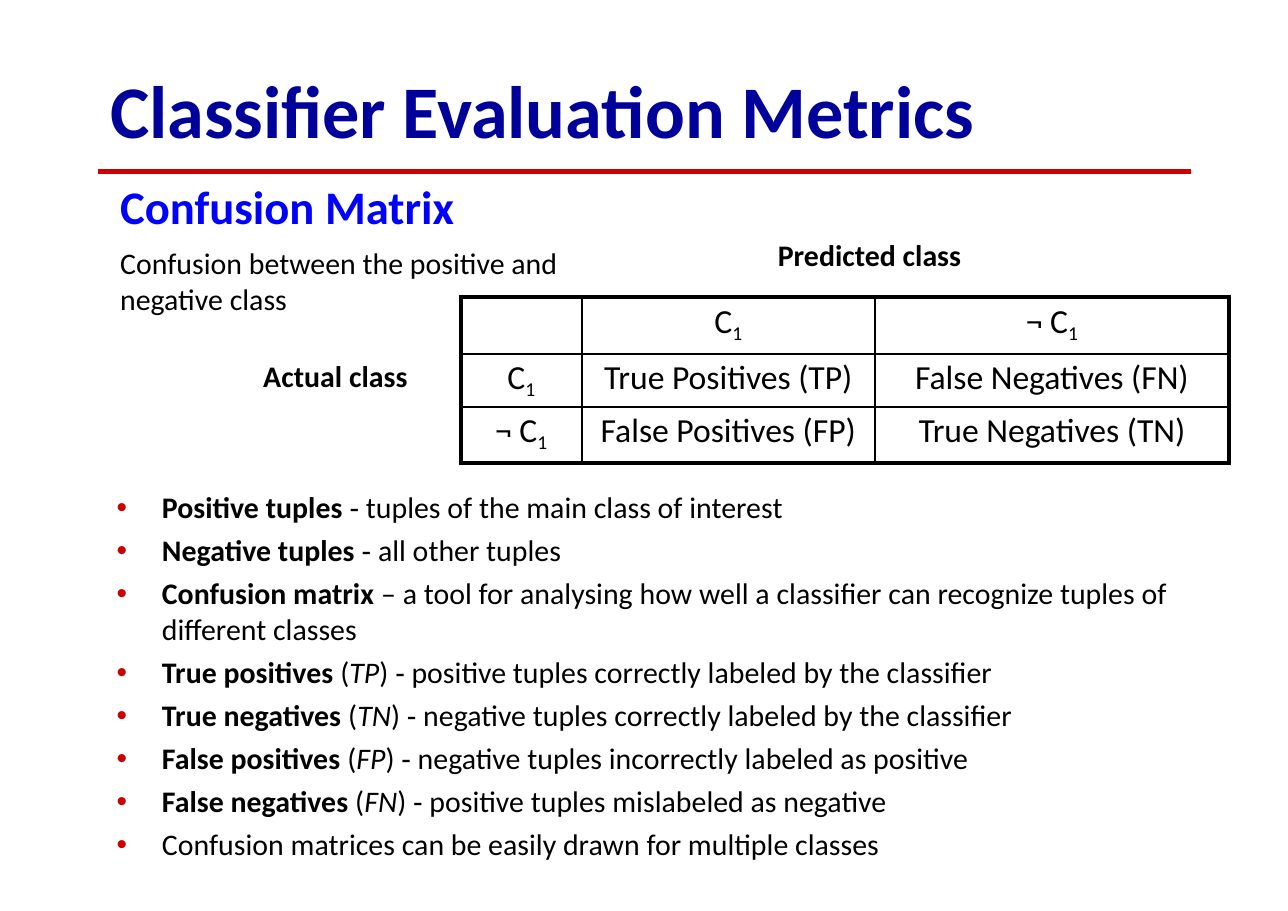
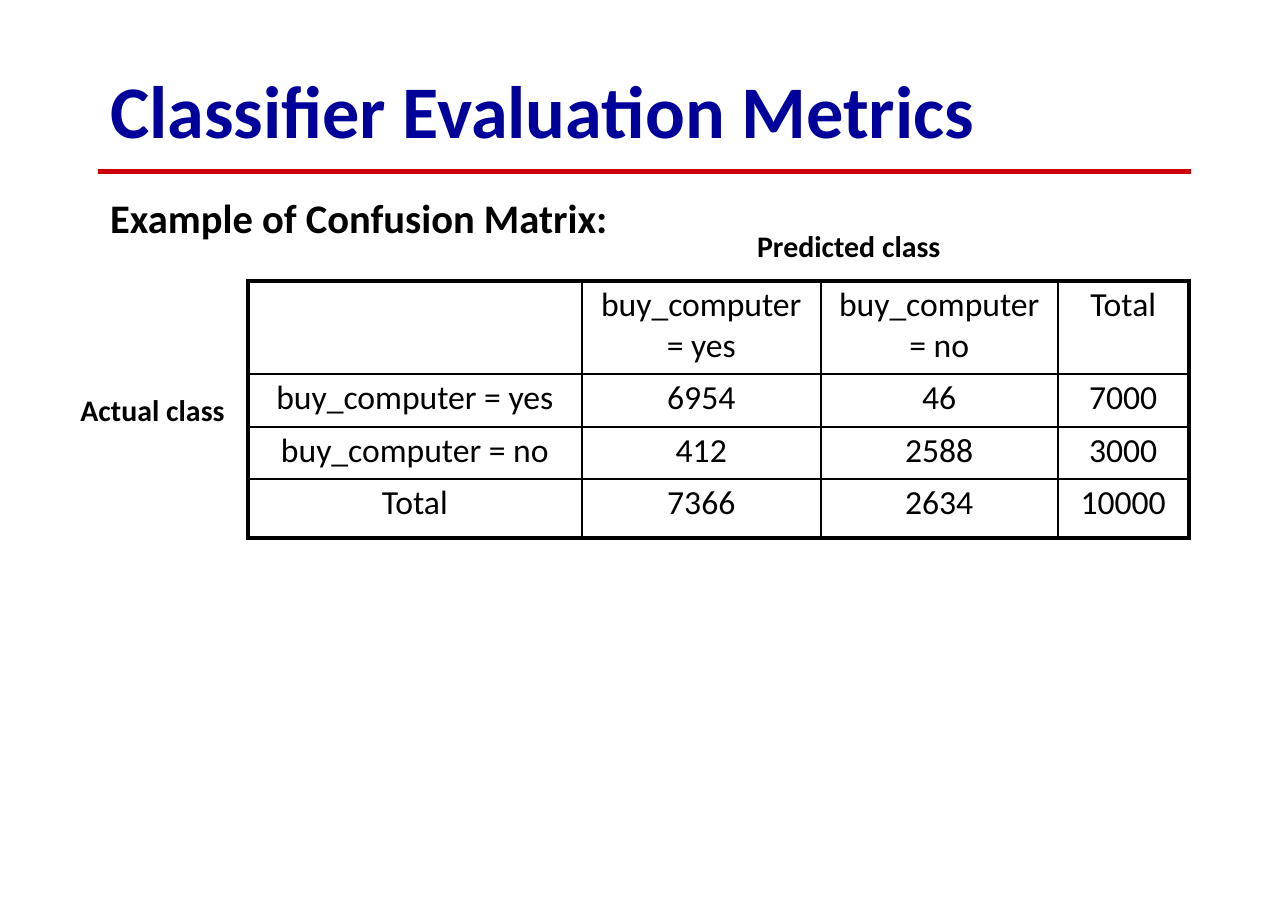
"""Build two slides on classifier evaluation with confusion matrices."""
from dataclasses import dataclass

from lxml import etree
from pptx import Presentation
from pptx import util as u
from pptx.dml.color import RGBColor
from pptx.enum import shapes, text
from pptx.oxml import ns


@dataclass(frozen=True)
class Theme:
    font: str = "Calibri"
    title: str = "00009A"
    heading: str = "0000FF"
    ink: str = "000000"
    accent: str = "CC0000"
    title_size: float = 48.5
    heading_size: float = 30.5
    example_size: float = 26.5
    cell_size: float = 22
    body_size: float = 19.5
    rule: float = 3
    outer: float = 3
    inner: float = 1.5


T = Theme()


def write(p, runs, size=T.body_size, color=T.ink, bold=False, before=0, bullet=False,
          align=text.PP_ALIGN.LEFT):
    p.alignment = align
    p.space_before = u.Pt(before)
    if bullet:
        pPr = p._p.get_or_add_pPr()
        pPr.set("marL", str(u.Pt(29.5)))
        pPr.set("indent", str(-u.Pt(29.5)))
        clr = etree.SubElement(pPr, ns.qn("a:buClr"))
        etree.SubElement(clr, ns.qn("a:srgbClr"), val=T.accent)
        etree.SubElement(pPr, ns.qn("a:buFont"), typeface="Arial")
        etree.SubElement(pPr, ns.qn("a:buChar"), char="•")
    for content, style in [(runs, "")] if isinstance(runs, str) else runs:
        r = p.add_run()
        r.text = content
        r.font.name = T.font
        r.font.size = u.Pt(size)
        r.font.color.rgb = RGBColor.from_string(color)
        r.font.bold = bold or style == "bold"
        r.font.italic = style == "italic"
        if style == "sub":
            r._r.get_or_add_rPr().set("baseline", "-21000")


positive = [("C", ""), ("1", "sub")]
negative = [("¬ C", ""), ("1", "sub")]

definitions = [
    [("Positive tuples ", "bold"), ("‐ tuples of the main class of interest", "")],
    [("Negative tuples ", "bold"), ("‐ all other tuples", "")],
    [("Confusion matrix ", "bold"),
     ("– a tool for analysing how well a classifier can recognize tuples of different classes", "")],
]
for name, short, meaning in [
    ("True positives", "TP", "positive tuples correctly labeled by the classifier"),
    ("True negatives", "TN", "negative tuples correctly labeled by the classifier"),
    ("False positives", "FP", "negative tuples incorrectly labeled as positive"),
    ("False negatives", "FN", "positive tuples mislabeled as negative"),
]:
    definitions.append([(name + " ", "bold"), ("(", ""), (short, "italic"), (") ‐ " + meaning, "")])
definitions.append("Confusion matrices can be easily drawn for multiple classes")

title = ((72, 42, 700, 60),
         [("Classifier Evaluation Metrics", dict(size=T.title_size, color=T.title, bold=True))])
predicted = [("Predicted class", dict(bold=True))]
actual = [("Actual class", dict(bold=True))]

slides = [
    dict(
        boxes=[
            ((78.5, 116, 300, 92), [
                ("Confusion Matrix", dict(size=T.heading_size, color=T.heading, bold=True)),
                ("Confusion between the positive and negative class", dict(before=7.2))]),
            ((508.3, 155, 124, 24), predicted),
            ((172, 234, 98, 24), actual),
            ((76.3, 319.5, 698, 248),
             [(d, dict(bullet=True, before=4.7 if i else 0)) for i, d in enumerate(definitions)]),
        ],
        at=(301, 194.4), cols=[79.2, 191.5, 231.5], rows=[37, 34.6, 36.7],
        cells=[
            ["", positive, negative],
            [positive, "True Positives (TP)", "False Negatives (FN)"],
            [negative, "False Positives (FP)", "True Negatives (TN)"],
        ],
    ),
    dict(
        boxes=[
            ((72, 126, 340, 33),
             [("Example of Confusion Matrix:", dict(size=T.example_size, bold=True))]),
            ((494.8, 148.5, 124, 24), predicted),
            ((52.5, 256.3, 98, 24), actual),
        ],
        at=(162, 183.6), cols=[218.2, 156.2, 154.8, 85.7], rows=[60.7, 34.5, 34.3, 38.3],
        cells=[
            ["", "buy_computer\n= yes", "buy_computer\n= no", "Total"],
            ["buy_computer = yes", "6954", "46", "7000"],
            ["buy_computer = no", "412", "2588", "3000"],
            ["Total", "7366", "2634", "10000"],
        ],
    ),
]

prs = Presentation()
prs.slide_width, prs.slide_height = u.Pt(841.68), u.Pt(595.44)

for page in slides:
    s = prs.slides.add_slide(prs.slide_layouts[6])

    rule = s.shapes.add_connector(shapes.MSO_CONNECTOR.STRAIGHT,
                                  u.Pt(64), u.Pt(112.3), u.Pt(778.3), u.Pt(112.3))
    rule.line.color.rgb = RGBColor.from_string(T.accent)
    rule.line.width = u.Pt(T.rule)
    etree.SubElement(rule._element.spPr, ns.qn("a:effectLst"))

    for frame, paragraphs in [title] + page["boxes"]:
        tf = s.shapes.add_textbox(*map(u.Pt, frame)).text_frame
        tf.word_wrap = True
        tf.margin_left = tf.margin_right = tf.margin_top = tf.margin_bottom = 0
        for i, (content, style) in enumerate(paragraphs):
            write(tf.add_paragraph() if i else tf.paragraphs[0], content, **style)

    cols, rows = page["cols"], page["rows"]
    size = sum(cols), sum(rows)
    tbl = s.shapes.add_table(len(rows), len(cols), *map(u.Pt, page["at"] + size)).table
    tbl.first_row = tbl.horz_banding = False
    for col, width in zip(tbl.columns, cols):
        col.width = u.Pt(width)
    for row, height in zip(tbl.rows, rows):
        row.height = u.Pt(height)

    for y, line in enumerate(page["cells"]):
        for x, content in enumerate(line):
            cell = tbl.cell(y, x)
            cell.margin_left = cell.margin_right = cell.margin_bottom = 0
            cell.margin_top = u.Pt(2.6)
            lines = content.split("\n") if isinstance(content, str) else [content]
            tf = cell.text_frame
            for i, part in enumerate(lines):
                write(tf.add_paragraph() if i else tf.paragraphs[0], part,
                      size=T.cell_size, align=text.PP_ALIGN.CENTER)
            edges = dict(L=x == 0, R=x == len(cols) - 1, T=y == 0, B=y == len(rows) - 1)
            tcPr = cell._tc.get_or_add_tcPr()
            for side, is_outer in edges.items():
                ln = etree.SubElement(tcPr, ns.qn("a:ln" + side),
                                      w=str(u.Pt(T.outer if is_outer else T.inner)))
                fill = etree.SubElement(ln, ns.qn("a:solidFill"))
                etree.SubElement(fill, ns.qn("a:srgbClr"), val=T.ink)
            cell.fill.background()

prs.save("out.pptx")
